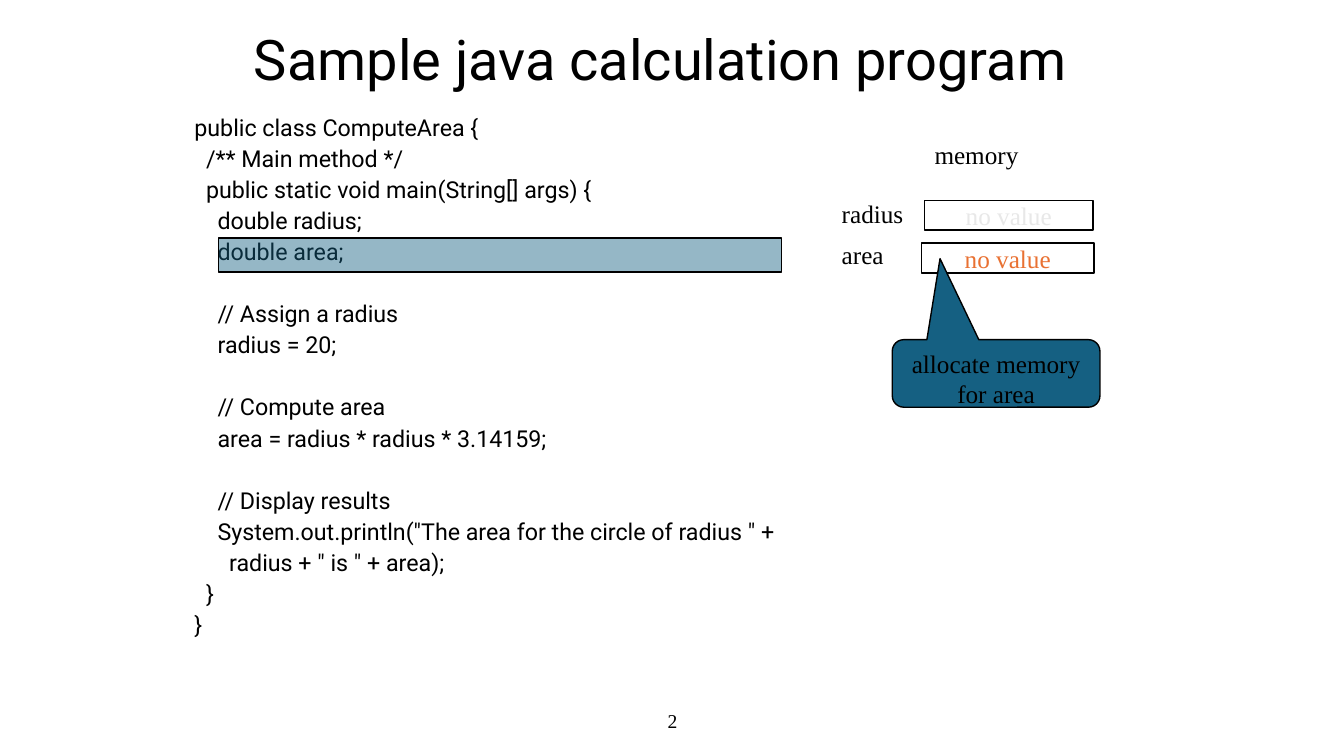
"""Build a slide that steps through a Java program and its memory."""
from lxml import etree
from pptx import Presentation, util as u
from pptx.dml.color import RGBColor
from pptx.enum import shapes, text
from pptx.oxml.ns import qn

TITLE = "Sample java calculation program"
NUMBER = "2"
CODE = [
    [(0, "public class ComputeArea {"),
     (1, "/** Main method */"),
     (1, "public static void main(String[] args) {"),
     (2, "double radius;"),
     (2, "double area;")],
    [(2, "// Assign a radius"),
     (2, "radius = 20;")],
    [(2, "// Compute area"),
     (2, "area = radius * radius * 3.14159;")],
    [(2, "// Display results"),
     (2, 'System.out.println("The area for the circle of radius " +'),
     (3, 'radius + " is " + area);'),
     (1, "}"),
     (0, "}")],
]
LABELS = [
    ("memory", (9.17, 1.33, 1.58, 0.4)),
    ("radius", (8.25, 1.92, 0.92, 0.4)),
    ("area", (8.25, 2.33, 0.92, 0.4)),
]
CELLS = [
    ("no value", "faint", (9.17, 1.99, 1.67, 0.29)),
    ("no value", "accent", (9.14, 2.41, 1.71, 0.3)),
]
MARK = (2.17, 2.36, 5.58, 0.34)
CALLOUT = ("allocate memory for area", (8.85, 3.37, 2.06, 0.67))
POINT = (-0.27, -1.7, 0.17)

THEME = {
    "sans": "Roboto", "serif": "Times New Roman",
    "title": 40, "code": 16.6, "label": 18, "number": 14,
    "ink": "000000", "blue": "156082", "faint": "E8E8E8", "accent": "E97132",
}
STEP = 0.115
LEAD = 10.3
PITCH = 22


def color(name):
    return RGBColor.from_string(THEME[name])


def style(para, face, size, ink="ink", align=text.PP_ALIGN.LEFT):
    font = para.font
    font.name, font.size = THEME[face], u.Pt(THEME[size])
    font.color.rgb = color(ink)
    para.alignment = align


def add_box(slide, area, anchor=text.MSO_ANCHOR.TOP):
    frame = slide.shapes.add_textbox(*map(u.Inches, area)).text_frame
    frame.word_wrap = True
    frame.auto_size = text.MSO_AUTO_SIZE.NONE
    frame.vertical_anchor = anchor
    return frame


def add_text(slide, words, area, face, size, anchor=text.MSO_ANCHOR.TOP,
             align=text.PP_ALIGN.LEFT):
    frame = add_box(slide, area, anchor)
    para = frame.paragraphs[0]
    para.text = words
    style(para, face, size, align=align)
    return frame


def add_shape(slide, kind, area, fill=None):
    shape = slide.shapes.add_shape(kind, *map(u.Inches, area))
    shape.shadow.inherit = False
    if fill:
        shape.fill.solid()
        shape.fill.fore_color.rgb = color(fill)
    else:
        shape.fill.background()
    shape.line.color.rgb = color("ink")
    shape.line.width = u.Pt(1)
    return shape


def add_code(slide):
    frame = add_box(slide, (1.83, 1.17, 6.08, 5.67))
    para = frame.paragraphs[0]
    for block, lines in enumerate(CODE):
        for row, (level, words) in enumerate(lines):
            if block or row:
                para = frame.add_paragraph()
            para.text = words
            style(para, "sans", "code")
            para.line_spacing = 0.6
            gap = PITCH if block and not row else 0
            para.space_before = u.Pt(LEAD + gap)
            para._p.get_or_add_pPr().set("marL", str(u.Inches(level * STEP)))


def add_cell(slide, words, ink, area):
    frame = add_shape(slide, shapes.MSO_SHAPE.RECTANGLE, area).text_frame
    frame.margin_left = frame.margin_right = u.Inches(0.01)
    frame.margin_top = frame.margin_bottom = u.Inches(0.01)
    frame.word_wrap = False
    frame.vertical_anchor = text.MSO_ANCHOR.MIDDLE
    para = frame.paragraphs[0]
    para.text = words
    style(para, "serif", "label", ink, text.PP_ALIGN.CENTER)


def add_mark(slide):
    shape = add_shape(slide, shapes.MSO_SHAPE.RECTANGLE, MARK, "blue")
    tint = shape._element.spPr.find(qn("a:solidFill"))[0]
    etree.SubElement(tint, qn("a:alpha")).set("val", "45000")


def add_callout(slide):
    words, area = CALLOUT
    kind = shapes.MSO_SHAPE.ROUNDED_RECTANGULAR_CALLOUT
    shape = add_shape(slide, kind, area, "blue")
    for index, value in enumerate(POINT):
        shape.adjustments[index] = value
    frame = shape.text_frame
    frame.word_wrap = True
    frame.vertical_anchor = text.MSO_ANCHOR.TOP
    para = frame.paragraphs[0]
    para.text = words
    style(para, "serif", "label", align=text.PP_ALIGN.CENTER)


def main():
    deck = Presentation()
    deck.slide_width, deck.slide_height = u.Inches(13.33), u.Inches(7.5)
    slide = deck.slides.add_slide(deck.slide_layouts[6])
    middle = text.MSO_ANCHOR.MIDDLE
    add_text(slide, NUMBER, (4.42, 6.95, 4.5, 0.4), "serif", "number",
             middle, text.PP_ALIGN.CENTER)
    head = add_text(slide, TITLE, (2.42, 0.33, 8.5, 0.58), "sans", "title",
                    middle)
    head.margin_top = head.margin_bottom = 0
    head.paragraphs[0].line_spacing = 0.9
    add_code(slide)
    add_mark(slide)
    for words, area in LABELS:
        add_text(slide, words, area, "serif", "label")
    for words, ink, area in CELLS:
        add_cell(slide, words, ink, area)
    add_callout(slide)
    deck.save("out.pptx")


if __name__ == "__main__":
    main()
